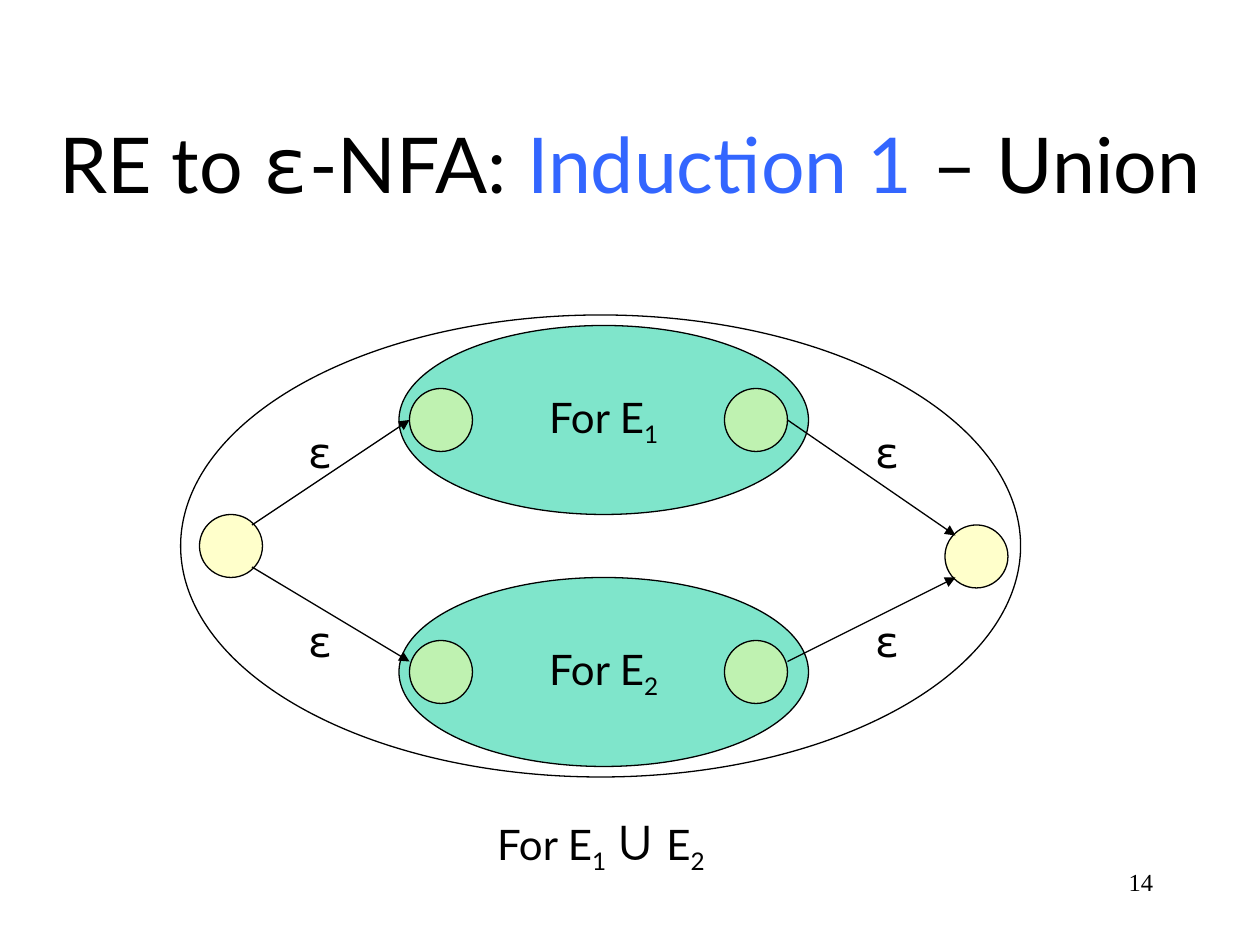
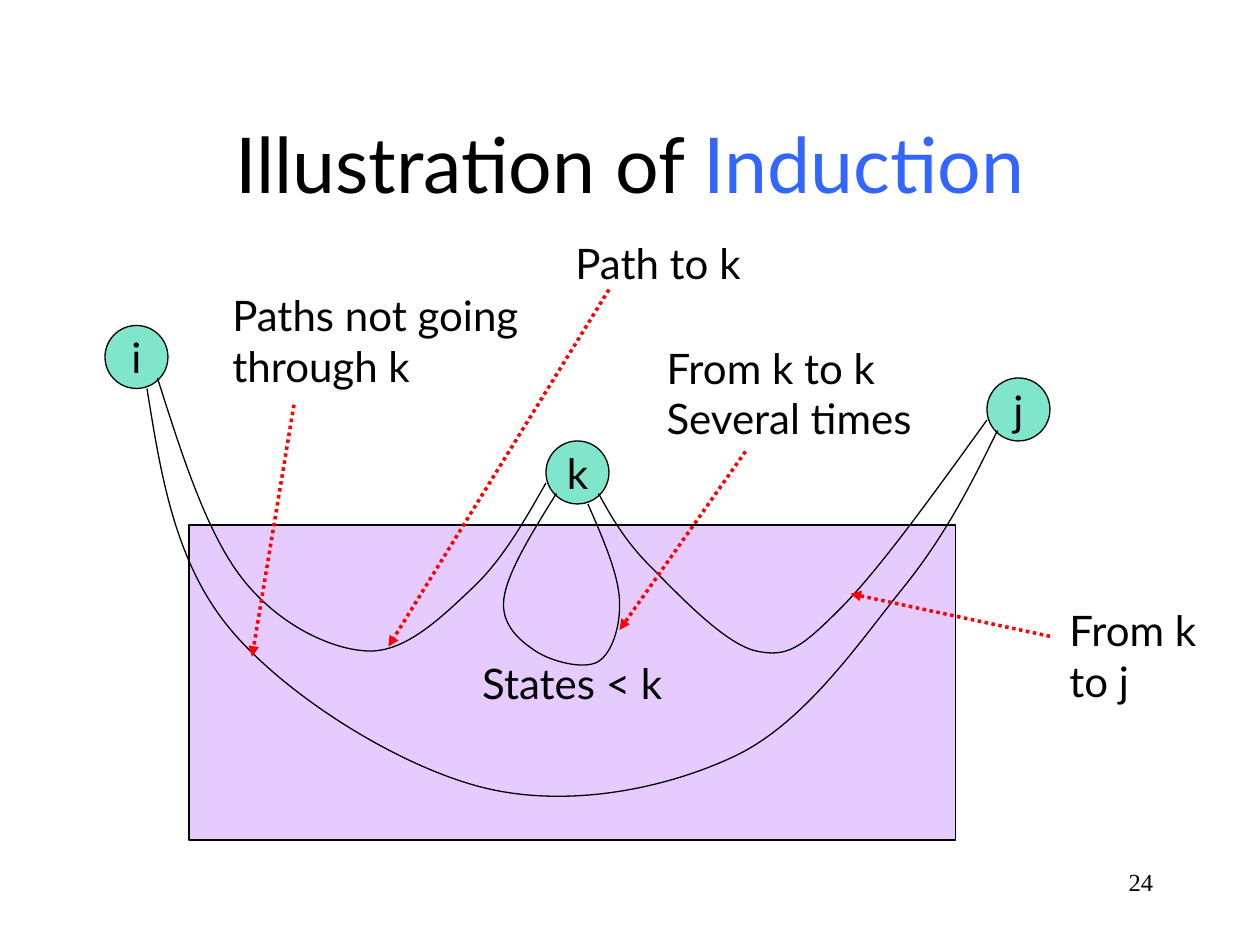
import pptx
import pptx.util
import pptx.dml.color
import pptx.enum.dml
import pptx.enum.shapes
import pptx.enum.text
import pptx.oxml.ns
from lxml import etree

Pt = pptx.util.Pt
RGB = pptx.dml.color.RGBColor
qn = pptx.oxml.ns.qn
OVAL = pptx.enum.shapes.MSO_SHAPE.OVAL
RECTANGLE = pptx.enum.shapes.MSO_SHAPE.RECTANGLE
STRAIGHT = pptx.enum.shapes.MSO_CONNECTOR.STRAIGHT
ALIGN = pptx.enum.text.PP_ALIGN
MIDDLE = pptx.enum.text.MSO_ANCHOR.MIDDLE
DOTTED = pptx.enum.dml.MSO_LINE.ROUND_DOT

# Shared style
BLACK = RGB(0x00, 0x00, 0x00)
BLUE = RGB(0x33, 0x66, 0xFF)
RED = RGB(0xFF, 0x00, 0x00)
GREEN = RGB(0x00, 0xCC, 0x99)
YELLOW = RGB(0xFF, 0xFF, 0x99)
PURPLE = RGB(0xCC, 0x99, 0xFF)
BODY_FONT, GREEK_FONT = "Lato", "DejaVu Sans Mono"
UNION_FONT, NUMBER_FONT = "Arial", "Times New Roman"
BODY_SIZE, TITLE_SIZE, NUMBER_SIZE = 24, 44, 14
STATE = 36          # diameter of a state
THIN = 0.75

# Content: a run is a string or (string, overrides)
SUB = {"sub": True}
CUP = {"font": UNION_FONT, "size": 32}

UNION = {
    "number": "14",
    "title": ["RE to ", ("ε", {"font": GREEK_FONT}), "-NFA: ",
              ("Induction 1", {"color": BLUE}), " – Union"],
    "title_left": 0,
    "outer": (103.2, 180, 480, 264),
    "caption": ["For E", ("1", SUB), (" ", {**CUP, **SUB}), ("∪", CUP),
                " E", ("2", SUB)],
    "caption_box": (277, 456, 138, 48),
    "automata": [("1", 186), ("2", 330)],
    "automaton_left": 228,
    "automaton_size": (234, 108),
    "inner_state_offsets": [186, 6],
    "end_states": [(114, 294), (540, 300)],
    "moves": [((144, 300), (234, 240)), ((144, 324), (234, 378)),
              ((450, 240), (546, 306)), ((450, 378), (546, 330))],
    "epsilon_lefts": [168.5, 492.5],
    "epsilon_tops": [240, 348],
}

INDUCTION = {
    "number": "24",
    "title": ["Illustration of ", ("Induction", {"color": BLUE})],
    "title_left": 54,
    "lower_states": ("States < k", (108, 300, 438, 180)),
    "states": [("k", 312, 252), ("i", 60, 186), ("j", 564, 216)],
    # Points that each path runs through
    "paths": [
        [(84, 222), (132, 360), (276, 450), (420, 432), (516, 336), (570, 246)],
        [(90, 216), (138, 330), (210, 372), (270, 336), (312, 276)],
        [(318, 282), (288, 342), (306, 372), (342, 378), (354, 342), (336, 288)],
        [(342, 282), (372, 324), (432, 372), (480, 348), (564, 240)],
    ],
    # Lines of text, box, arrow start, arrow end
    "notes": [
        (["Paths not going", "through k"], (125.7, 162, 193, 65),
         (168, 231.3), (144, 375.3)),
        (["From k", "to j"], (604, 342, 93, 65), (600, 363.6), (486, 339.3)),
        (["From k to k", "Several times"], (373.8, 192, 165, 65),
         (426, 258), (354, 360)),
        (["Path to k"], (321.7, 132, 114.5, 36), (348, 165.5), (222, 369.5)),
    ],
}


# Text
def style_font(font, name=None, size=None, color=None):
    if name:
        font.name = name
    if size:
        font.size = Pt(size)
    if color is not None:
        font.color.rgb = color


def write(frame, lines, align=ALIGN.LEFT, wrap=False, font=BODY_FONT, size=BODY_SIZE):
    frame.word_wrap = wrap
    for index, runs in enumerate(lines):
        paragraph = frame.add_paragraph() if index else frame.paragraphs[0]
        paragraph.alignment = align
        style_font(paragraph.font, font, size, BLACK)
        for piece in runs:
            text, look = (piece, {}) if isinstance(piece, str) else piece
            run = paragraph.add_run()
            run.text = text
            style_font(run.font, look.get("font"), look.get("size"), look.get("color"))
            if look.get("sub"):
                run.font._element.set("baseline", "-25000")


def add_text(slide, box, lines, **style):
    frame = slide.shapes.add_textbox(*map(Pt, box)).text_frame
    write(frame, lines, **style)
    return frame


# Shapes and lines
def add_region(slide, kind, box, color=None, runs=None):
    """Outlined shape, half transparent if filled, with a centred label."""
    region = slide.shapes.add_shape(kind, *map(Pt, box))
    region.shadow.inherit = False
    region.line.color.rgb = BLACK
    region.line.width = Pt(THIN)
    if color is None:
        region.fill.background()
    else:
        region.fill.solid()
        region.fill.fore_color.rgb = color
        srgb = region._element.spPr.find(".//" + qn("a:srgbClr"))
        etree.SubElement(srgb, qn("a:alpha"), val="50000")
    if runs:
        region.text_frame.vertical_anchor = MIDDLE
        write(region.text_frame, [runs], align=ALIGN.CENTER)


def add_state(slide, left, top, color, runs=None):
    add_region(slide, OVAL, (left, top, STATE, STATE), color, runs)


def add_arrow(slide, start, end, color=BLACK, width=THIN, dash=None):
    arrow = slide.shapes.add_connector(STRAIGHT, *map(Pt, start + end))
    arrow.line.color.rgb = color
    arrow.line.width = Pt(width)
    if dash:
        arrow.line.dash_style = dash
    etree.SubElement(arrow.line._get_or_add_ln(), qn("a:tailEnd"), type="triangle")
    etree.SubElement(arrow._element.spPr, qn("a:effectLst"))


def bezier_points(knots):
    """Start, then two handles and a knot per piece of a Catmull-Rom curve."""
    def handle(i, sign):
        return tuple(p + sign * (after - before) / 6 for before, p, after
                     in zip(knots[i - 1], knots[i], knots[i + 1]))

    def halfway(a, b):
        return tuple((p + q) / 2 for p, q in zip(a, b))

    points, last = [knots[0]], len(knots) - 1
    for i in range(last):
        start, end = knots[i], knots[i + 1]
        leaving = handle(i, 1) if i else halfway(start, handle(1, -1))
        arriving = handle(i + 1, -1) if i + 1 < last else halfway(end, leaving)
        points += [leaving, arriving, end]
    return points


def add_path(slide, knots):
    points = [(Pt(x), Pt(y)) for x, y in bezier_points(knots)]
    builder = slide.shapes.build_freeform(*points[0], scale=1.0)
    builder.add_line_segments(points[1:], close=False)
    curve = builder.convert_to_shape()
    curve.shadow.inherit = False
    curve.fill.background()
    curve.line.color.rgb = BLACK
    curve.line.width = Pt(THIN)
    # Join every three straight steps into one cubic piece
    outline = curve._element.spPr.find(".//" + qn("a:path"))
    steps = outline.findall(qn("a:lnTo"))
    for i in range(0, len(steps), 3):
        cubic = etree.SubElement(outline, qn("a:cubicBezTo"))
        for step in steps[i:i + 3]:
            cubic.append(step[0])
            outline.remove(step)


# Slides
def add_slide(deck, content):
    slide = deck.slides.add_slide(deck.slide_layouts[6])
    add_text(slide, (516, 492, 150, 36), [[content["number"]]], align=ALIGN.RIGHT,
             wrap=True, font=NUMBER_FONT, size=NUMBER_SIZE)
    left = content["title_left"]
    title = add_text(slide, (left, 48, 720 - 2 * left, 90), [content["title"]],
                     align=ALIGN.CENTER, wrap=True, size=TITLE_SIZE)
    title.vertical_anchor = MIDDLE
    return slide


def build_union(deck, content):
    slide = add_slide(deck, content)
    left = content["automaton_left"]
    width, height = content["automaton_size"]
    for index, top in content["automata"]:
        add_region(slide, OVAL, (left, top, width, height), GREEN,
                   ["For E", (index, SUB)])
        for offset in content["inner_state_offsets"]:
            add_state(slide, left + offset, top + (height - STATE) / 2, YELLOW)
    add_region(slide, OVAL, content["outer"])
    add_text(slide, content["caption_box"], [content["caption"]])
    for position in content["end_states"]:
        add_state(slide, *position, YELLOW)
    for start, end in content["moves"]:
        add_arrow(slide, start, end)
    for left in content["epsilon_lefts"]:
        for top in content["epsilon_tops"]:
            add_text(slide, (left, top, 26, 36), [["ε"]], font=GREEK_FONT)


def build_induction(deck, content):
    slide = add_slide(deck, content)
    label, box = content["lower_states"]
    add_region(slide, RECTANGLE, box, PURPLE, [label])
    for name, left, top in content["states"]:
        add_state(slide, left, top, GREEN, [name])
    for knots in content["paths"]:
        add_path(slide, knots)
    for lines, box, start, end in content["notes"]:
        add_text(slide, box, [[line] for line in lines])
        add_arrow(slide, start, end, RED, 2, DOTTED)


def main():
    deck = pptx.Presentation()
    deck.slide_width, deck.slide_height = Pt(720), Pt(540)
    build_union(deck, UNION)
    build_induction(deck, INDUCTION)
    deck.save("out.pptx")


if __name__ == "__main__":
    main()
